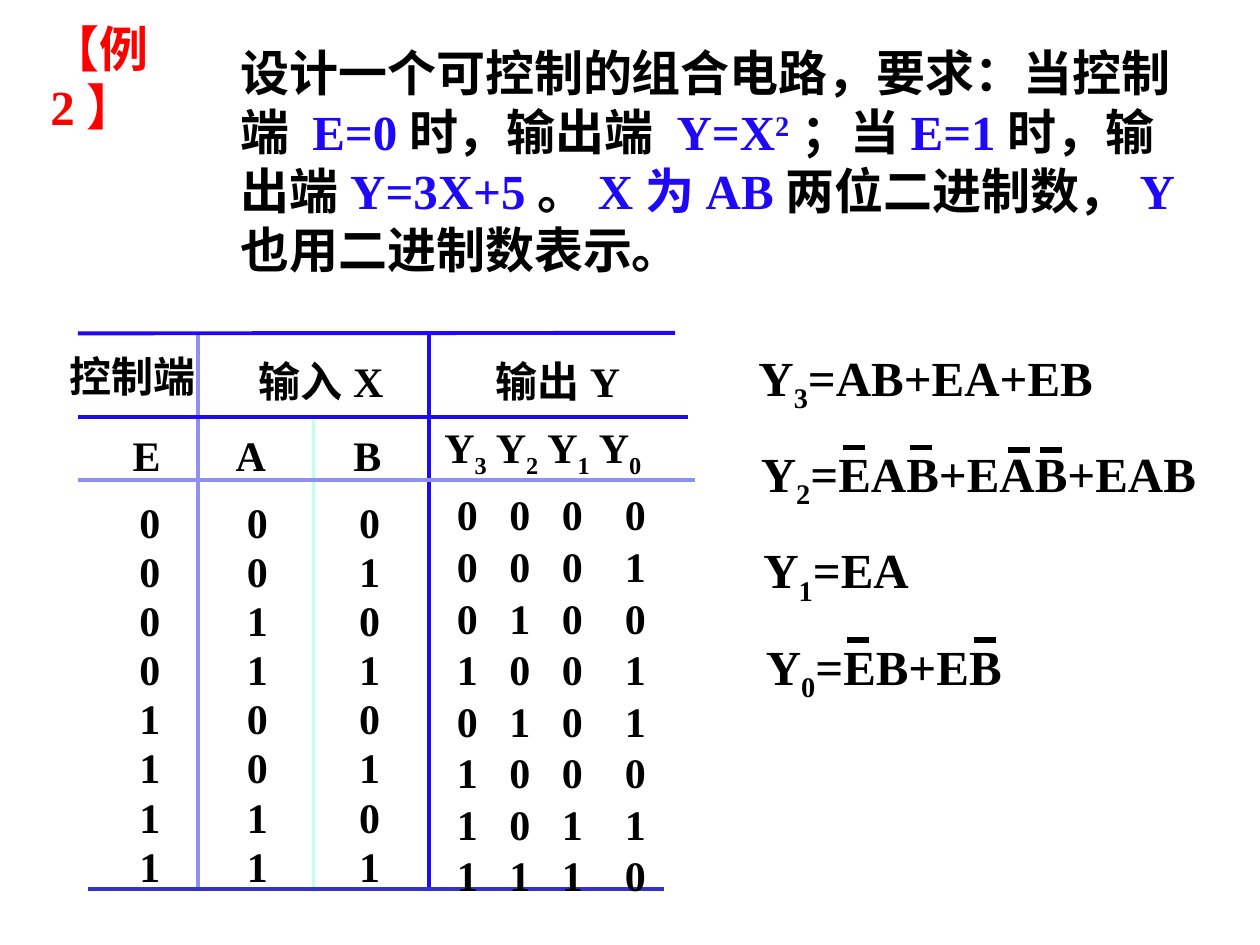
from dataclasses import dataclass
from lxml import etree
from pptx import Presentation, util as u
from pptx.dml.color import RGBColor
from pptx.enum import shapes as sh, text as tx
from pptx.oxml import ns

SERIF, SANS = "Times New Roman", "Noto Sans CJK SC"
BLACK, BLUE, LILAC, MINT, NAVY = "000000", "1F08F8", "9090F4", "C2FFF0", "3333CC"


@dataclass
class Box:
    left: float
    top: float
    width: float
    height: float = 1.27

    def place(self) -> tuple:
        return tuple(u.Cm(n) for n in (self.left, self.top, self.width, self.height))


@dataclass
class Rule:
    x1: float
    y1: float
    x2: float
    y2: float
    hue: str
    width: float = 2.25


@dataclass
class Part:
    text: str
    hue: str = BLACK
    face: str = SERIF
    base: int = 0


def paint(target, hue: str) -> None:
    target.rgb = RGBColor.from_string(hue)


def style(para, size: int, hue: str = BLACK) -> None:
    font = para.font
    font.size, font.bold, font.name = u.Pt(size), True, SERIF
    font.fill.solid()
    paint(font.fill.fore_color, hue)


def fill(shape, parts: list[Part], size: int, align=tx.PP_ALIGN.LEFT,
         wrap: bool = True, anchor=tx.MSO_ANCHOR.TOP, tabs: tuple = ()) -> None:
    frame = shape.text_frame
    frame.word_wrap, frame.vertical_anchor = wrap, anchor
    frame.auto_size = tx.MSO_AUTO_SIZE.SHAPE_TO_FIT_TEXT
    para = frame.paragraphs[0]
    para.alignment = align
    if tabs:
        stops = etree.SubElement(para._p.get_or_add_pPr(), ns.qn("a:tabLst"))
        for stop in tabs:
            etree.SubElement(stops, ns.qn("a:tab"), pos=str(u.Cm(stop)), algn="l")
    style(para, size)
    for part in parts:
        run = para.add_run()
        run.text = part.text
        if part.hue != BLACK:
            paint(run.font.color, part.hue)
        if part.face != SERIF:
            run.font.name = part.face
        if part.base:
            run._r.get_or_add_rPr().set("baseline", str(part.base * 1000))


def label(slide, word: str, box: Box) -> None:
    fill(slide.shapes.add_textbox(*box.place()), [Part(word)], 24,
         tx.PP_ALIGN.CENTER, False, tx.MSO_ANCHOR.MIDDLE)


def draw(slide, rule: Rule) -> None:
    ends = (u.Cm(n) for n in (rule.x1, rule.y1, rule.x2, rule.y2))
    line = slide.shapes.add_connector(sh.MSO_CONNECTOR.STRAIGHT, *ends)
    line.line.width = u.Pt(rule.width)
    paint(line.line.color, rule.hue)
    etree.SubElement(line._element.spPr, ns.qn("a:effectLst"))


def head(slide) -> None:
    title = slide.shapes.title
    title.left, title.top, title.width, title.height = Box(0.76, 0.89, 4.11, 1.32).place()
    frame = title.text_frame
    frame.text = "【例2】"
    frame.word_wrap, frame.auto_size = True, tx.MSO_AUTO_SIZE.NONE
    frame.vertical_anchor = tx.MSO_ANCHOR.MIDDLE
    frame.paragraphs[0].alignment = tx.PP_ALIGN.LEFT
    style(frame.paragraphs[0], 28, "FF0000")
    task = [
        Part("设计一个可控制的组合电路，要求：当控制端 ", face=SANS),
        Part("E=0", BLUE),
        Part("时，输出端 ", face=SANS),
        Part("Y=X", BLUE),
        Part("2", BLUE, base=30),
        Part("；当", face=SANS),
        Part("E=1", BLUE),
        Part("时，输出端", face=SANS),
        Part("Y=3X+5", BLUE),
        Part("。"),
        Part("X为AB", BLUE),
        Part("两位二进制数，"),
        Part("Y", BLUE),
        Part("也用二进制数表示。"),
    ]
    fill(slide.shapes.add_textbox(*Box(4.6, 0.74, 19.53, 5).place()), task, 28)


def truth(slide) -> None:
    rules = [
        Rule(3.99, 8.43, 3.99, 17.96, LILAC),
        Rule(6.32, 8.46, 6.32, 17.98, MINT),
        Rule(8.64, 8.38, 8.64, 17.91, BLUE),
        Rule(3.99, 6.71, 3.99, 8.61, LILAC),
        Rule(8.64, 6.68, 8.64, 8.59, BLUE),
        Rule(1.78, 17.93, 13.39, 17.93, NAVY),
        Rule(1.57, 9.68, 14.02, 9.68, LILAC),
        Rule(1.57, 8.41, 13.87, 8.41, BLUE),
        Rule(1.57, 6.72, 13.61, 6.71, BLUE),
    ]
    for rule in rules:
        draw(slide, rule)
    label(slide, "控制端", Box(1.14, 6.93, 3.07))
    label(slide, "输入X", Box(4.85, 7.04, 3.25))
    label(slide, "输出Y", Box(9.47, 7.04, 3.56))
    for name, left in (("E", 2.41), ("A", 4.5), ("B", 6.86)):
        label(slide, name, Box(left, 8.53, 1.09))
    names = []
    for bit in "3210":
        names += [Part("Y" if bit == "3" else " Y"), Part(bit, base=-25)]
    fill(slide.shapes.add_textbox(*Box(8.71, 8.38, 4.98).place()), names, 24)
    for row in range(8):
        for bit, left in zip(f"{row:03b}", (2.55, 4.72, 6.98)):
            label(slide, bit, Box(left, 9.88 + 0.99 * row, 0.94))
        num = row % 4
        out = num ** 2 if row < 4 else 3 * num + 5
        box = slide.shapes.add_textbox(*Box(8.96, 9.73 + 1.04 * row, 4.93).place())
        fill(box, [Part("\t".join(f"{out:04b}"))], 24, tabs=(1.06, 2.12, 3.39))


def solve(slide) -> None:
    sums = (("3", "=AB+EA+EB", 8.13), ("2", "=EAB+EAB+EAB", 9.47),
            ("1", "=EA", 4.52), ("0", "=EB+EB", 6.02))
    for row, (bit, term, width) in enumerate(sums):
        box = Box(15.04 + 0.05 * row, 6.88 + 1.94 * row, width, 1.45)
        rect = slide.shapes.add_shape(sh.MSO_SHAPE.RECTANGLE, *box.place())
        rect.shadow.inherit = False
        rect.fill.background()
        rect.line.width = u.Pt(3)
        paint(rect.line.color, "FFFFFF")
        fill(rect, [Part("Y"), Part(bit, base=-25), Part(term)], 28)
    bars = ((16.99, 9.02), (18.34, 9.02), (20.32, 9.07),
            (20.96, 9.07), (17.07, 12.9), (19.63, 12.9))
    for left, top in bars:
        draw(slide, Rule(left, top, left + 0.45, top, BLACK, 3))


def main() -> None:
    deck = Presentation()
    deck.slide_width, deck.slide_height = u.Cm(25.4), u.Cm(19.05)
    slide = deck.slides.add_slide(deck.slide_layouts[5])
    head(slide)
    truth(slide)
    solve(slide)
    deck.save("out.pptx")


if __name__ == "__main__":
    main()
